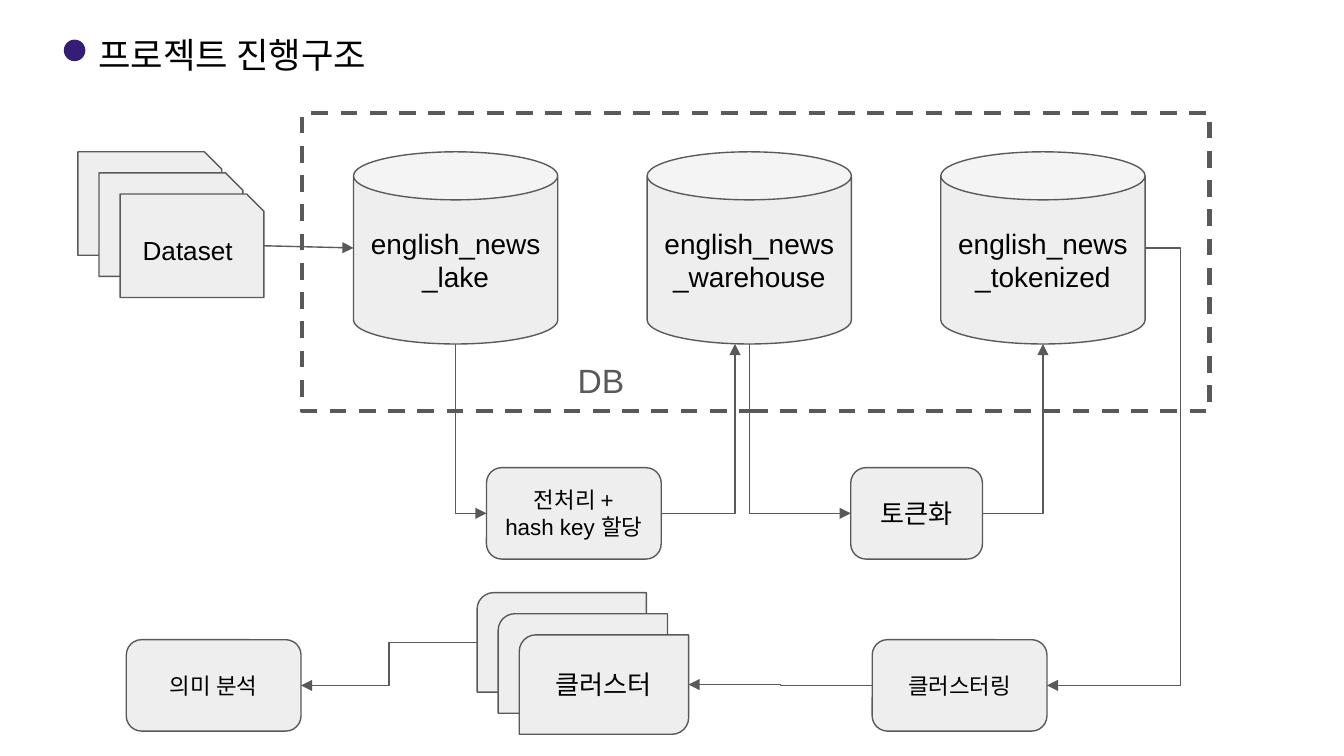
import pptx
import pptx.util
import pptx.dml.color
import pptx.enum.dml
import pptx.enum.shapes
import pptx.enum.text
import pptx.oxml
import pptx.oxml.ns

SHAPE = pptx.enum.shapes.MSO_SHAPE
LINK = pptx.enum.shapes.MSO_CONNECTOR
ALIGN = pptx.enum.text.PP_ALIGN
ANCHOR = pptx.enum.text.MSO_ANCHOR
GRAY, PALE, BLACK, PURPLE = "595959", "EEEEEE", "000000", "351C75"


def cell(n):
    """Length of n grid cells; the slide is 100 columns by 56.25 rows."""
    return pptx.util.Inches(n / 10)


def color(code):
    return pptx.dml.color.RGBColor.from_string(code)


def style(shape, fill, line=GRAY, width=0.75):
    shape.shadow.inherit = False
    if fill:
        shape.fill.solid()
        shape.fill.fore_color.rgb = color(fill)
    else:
        shape.fill.background()
    shape.line.color.rgb = color(line)
    shape.line.width = pptx.util.Pt(width)


def write(shape, text, size, tint=BLACK, align=ALIGN.CENTER, anchor=ANCHOR.MIDDLE):
    frame = shape.text_frame
    frame.word_wrap = True
    frame.auto_size = pptx.enum.text.MSO_AUTO_SIZE.NONE
    frame.vertical_anchor = anchor
    frame.margin_left = frame.margin_right = cell(1)
    frame.margin_top = frame.margin_bottom = cell(1)
    frame.text = text
    for para in frame.paragraphs:
        para.alignment = align
        for run in para.runs:
            run.font.size = pptx.util.Pt(size)
            run.font.name = "Arial"
            run.font.color.rgb = color(tint)


def node(slide, kind, box, text="", size=12):
    shape = slide.shapes.add_shape(kind, *map(cell, box))
    style(shape, PALE)
    if text:
        write(shape, text, size)
    return shape


def stack(slide, kind, box, text):
    """Three overlapping sheets; the front one carries the text."""
    x, y, w, h = box
    step = 1.57
    return [node(slide, kind, (x + i * step, y + i * step, w, h),
                 text if i == 2 else "", 14) for i in range(3)]


def heading(slide, box, text):
    x, y, w, h = box
    title = slide.shapes.title
    title.left, title.top, title.width, title.height = map(cell, box)
    write(title, text, 18.9, align=ALIGN.LEFT, anchor=ANCHOR.TOP)
    dot = slide.shapes.add_shape(
        SHAPE.OVAL, *map(cell, (x - 1.5, y + 1.5, 1.5, 1.5)))
    style(dot, PURPLE, PURPLE)


def store(slide, box, names):
    """Dashed database frame with evenly spaced cylinders."""
    x, y, w, h = box
    frame = slide.shapes.add_shape(SHAPE.RECTANGLE, *map(cell, box))
    style(frame, None, GRAY, 2.25)
    frame.line.dash_style = pptx.enum.dml.MSO_LINE.DASH
    label = slide.shapes.add_textbox(
        *map(cell, (x + 19.5, y + 17.4, 28.5, 5)))
    write(label, "DB", 18, GRAY, ALIGN.LEFT, ANCHOR.TOP)
    return [node(slide, SHAPE.CAN,
                 (x + 3.8 + i * 21.85, y + 2.9, 15.2, 14.3), name, 15)
            for i, name in enumerate(names)]


def spot(shape, across, down):
    """Point at the given shares of a shape's width and height."""
    return (int(shape.left + across * shape.width),
            int(shape.top + down * shape.height))


def flow(slide, start, end, kind="bentConnector3", bend=None):
    """Arrow from start to end; 'drop' goes down first, then right."""
    (ax, ay), (bx, by) = start, end
    drop = kind == "drop"
    if drop:
        # Lay the path out on its side, then turn it about its centre.
        mx, my = (ax + bx) // 2, (ay + by) // 2
        dx, dy = (bx - ax) // 2, (by - ay) // 2
        ax, ay, bx, by = mx + dy, my - dx, mx - dy, my + dx
    link = slide.shapes.add_connector(
        LINK.STRAIGHT if kind == "line" else LINK.ELBOW, ax, ay, bx, by)
    if drop:
        link.rotation = 270
        kind = "bentConnector2"
    link.line.color.rgb = color(GRAY)
    link.line.width = pptx.util.Pt(0.75)
    qn = pptx.oxml.ns.qn
    props = link._element.spPr
    geom = props.find(qn("a:prstGeom"))
    geom.set("prst", kind)
    if bend is not None:
        guide = geom.get_or_add_avLst().makeelement(
            qn("a:gd"), {"name": "adj1", "fmla": f"val {round(bend * 100000)}"})
        geom.get_or_add_avLst().append(guide)
    line = props.find(qn("a:ln"))
    line.append(line.makeelement(qn("a:tailEnd"), {"type": "triangle"}))
    props.append(props.makeelement(qn("a:effectLst"), {}))


def steps(slide, box):
    """Processing steps between the databases."""
    x, y, w, h = box
    clean = node(slide, SHAPE.ROUNDED_RECTANGLE, (x, y, 13, h),
                 "전처리 +\nhash key 할당")
    token = node(slide, SHAPE.ROUNDED_RECTANGLE,
                 (x + w - 9.8, y, 9.8, h), "토큰화", 14)
    return clean, token


def results(slide, box):
    """Bottom row: analysis, clusters and clustering."""
    x, y, w, h = box
    mean, group = [
        node(slide, SHAPE.ROUNDED_RECTANGLE, (left, y, 13, h), text)
        for left, text in ((x, "의미 분석"), (x + w - 13, "클러스터링"))]
    sheets = stack(slide, SHAPE.ROUND_2_DIAG_RECTANGLE,
                   (x + 26.1, y - 3.5, 12.6, 7.4), "클러스터")
    return mean, group, sheets


def main():
    deck = pptx.Presentation()
    deck.slide_width, deck.slide_height = cell(100), cell(56.25)
    slide = deck.slides.add_slide(deck.slide_layouts[5])

    # Regions
    heading(slide, (6.3, 1.5, 25.4, 6.3), "프로젝트 진행구조")
    lake, ware, words = store(
        slide, (22.5, 8.4, 67.5, 22.2),
        ("english_news_lake", "english_news_warehouse", "english_news_tokenized"))
    data = stack(slide, SHAPE.SNIP_1_RECTANGLE, (5.8, 11.3, 10.7, 7.7), "Dataset")
    clean, token = steps(slide, (36.2, 34.8, 36.9, 6.8))
    mean, group, sheets = results(slide, (9.4, 47.6, 68.5, 6.8))

    # Flow between the databases
    flow(slide, spot(data[2], 1, 0.5), spot(lake, 0, 0.5), "line")
    flow(slide, spot(lake, 0.5, 1), spot(clean, 0, 0.5), "drop")
    flow(slide, spot(clean, 1, 0.5), spot(ware, 0.43, 1), "bentConnector2")
    flow(slide, spot(ware, 0.5, 1), spot(token, 0, 0.5), "drop")
    flow(slide, spot(token, 1, 0.5), spot(words, 0.5, 1), "bentConnector2")

    # Flow to the analysis
    flow(slide, spot(words, 1, 0.5), spot(group, 1, 0.5), bend=-0.36)
    flow(slide, spot(group, 0, 0.5), spot(sheets[2], 1, 0.5))
    flow(slide, spot(sheets[0], 0, 0.5), spot(mean, 1, 0.5), bend=0.5)

    deck.save("out.pptx")


if __name__ == "__main__":
    main()
